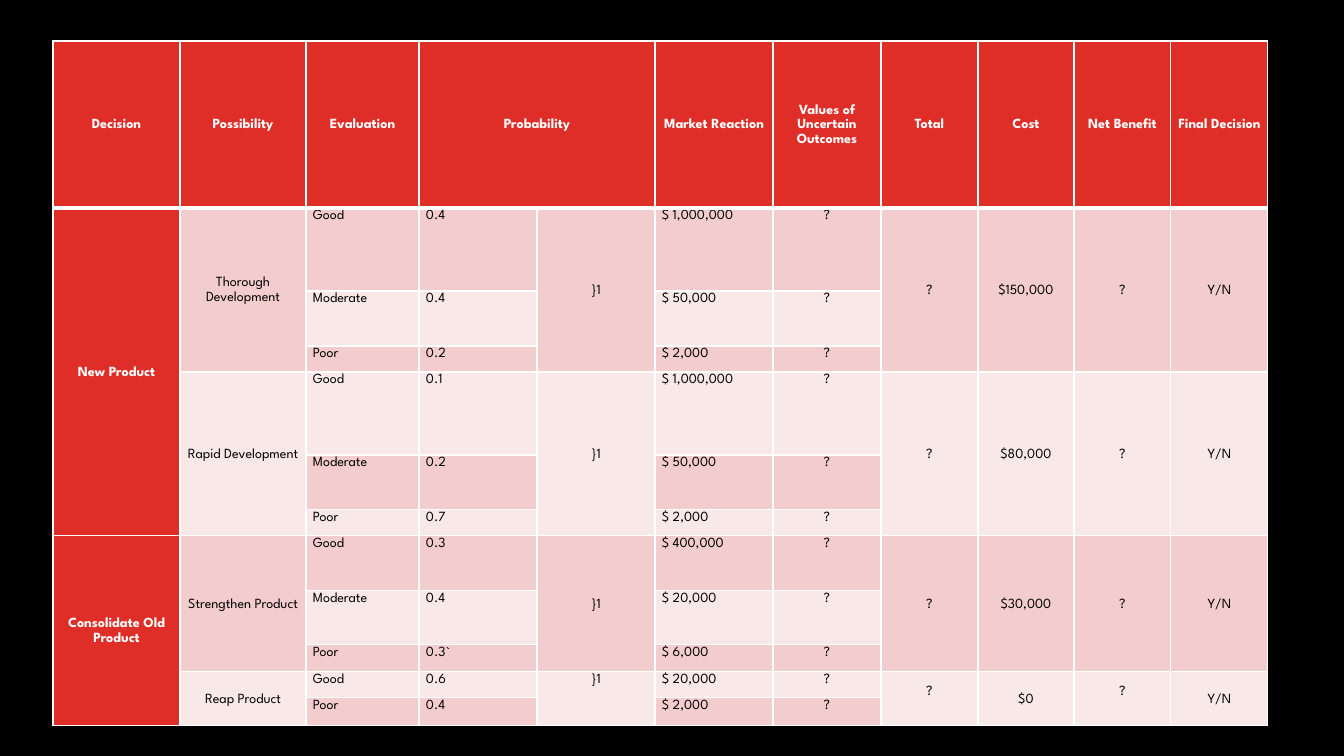
from itertools import accumulate

from lxml import etree
from pptx import Presentation
from pptx.dml.color import RGBColor
from pptx.enum.text import MSO_ANCHOR, PP_ALIGN
from pptx.oxml.ns import qn
from pptx.util import Emu, Pt

TOP, MIDDLE = MSO_ANCHOR.TOP, MSO_ANCHOR.MIDDLE
LEFT, CENTER = PP_ALIGN.LEFT, PP_ALIGN.CENTER

BLACK = RGBColor(0x00, 0x00, 0x00)
WHITE = RGBColor(0xFF, 0xFF, 0xFF)
RED = RGBColor(0xDF, 0x2E, 0x28)
ROSE = RGBColor(0xF3, 0xCD, 0xCD)
PALE_ROSE = RGBColor(0xF9, 0xE8, 0xE8)

EMU_PER_PX = 914400 / 100.8
BLANK_LAYOUT = 6

COLUMN_WIDTHS = [127, 126, 113, 118, 118, 118, 108, 97, 96, 97, 97]
ROW_HEIGHTS = [167, 83, 55, 26, 83, 55, 26, 55, 54, 27, 26, 28]

# Heading -> column
HEADINGS = {
    "Decision": 0, "Possibility": 1, "Evaluation": 2, "Probability": 3,
    "Market Reaction": 5, "Values of Uncertain Outcomes": 6, "Total": 7,
    "Cost": 8, "Net Benefit": 9, "Final Decision": 10,
}

# Decision -> number of rows it covers
DECISIONS = {"New Product": 6, "Consolidate Old Product": 5}

# Possibility, cost, outcomes (evaluation, probability, market reaction)
POSSIBILITIES = [
    ("Thorough Development", "$150,000", [
        ("Good", "0.4", "$ 1,000,000"),
        ("Moderate", "0.4", "$ 50,000"),
        ("Poor", "0.2", "$ 2,000")]),
    ("Rapid Development", "$80,000", [
        ("Good", "0.1", "$ 1,000,000"),
        ("Moderate", "0.2", "$ 50,000"),
        ("Poor", "0.7", "$ 2,000")]),
    ("Strengthen Product", "$30,000", [
        ("Good", "0.3", "$ 400,000"),
        ("Moderate", "0.4", "$ 20,000"),
        ("Poor", "0.3`", "$ 6,000")]),
    ("Reap Product", "$0", [
        ("Good", "0.6", "$ 20,000"),
        ("Poor", "0.4", "$ 2,000")]),
]


def px(length):
    return Emu(round(length * EMU_PER_PX))


class DecisionSlide:
    """Holds the style and the current slide."""

    font_name = "League Spartan"
    font_size = Pt(10)
    line_spacing = 1.15
    side_margin = 7

    def __init__(self, presentation):
        self.slide = presentation.slides.add_slide(
            presentation.slide_layouts[BLANK_LAYOUT])

    def background(self, color):
        fill = self.slide.background.fill
        fill.solid()
        fill.fore_color.rgb = color

    def grid(self, left, top, widths, heights):
        table = self.slide.shapes.add_table(
            len(heights), len(widths), px(left), px(top),
            px(sum(widths)), px(sum(heights))).table
        table.horz_banding = False
        for column, width in zip(table.columns, widths):
            column.width = px(width)
        for row, height in zip(table.rows, heights):
            row.height = px(height)
        return table

    def borders(self, cell, widths):
        properties = cell._tc.get_or_add_tcPr()
        for side, width in widths.items():
            line = etree.SubElement(properties, qn(f"a:ln{side}"), w=str(Pt(width)))
            fill = etree.SubElement(line, qn("a:solidFill"))
            etree.SubElement(fill, qn("a:srgbClr"), val=str(WHITE))

    def paint(self, cell, color):
        cell.fill.solid()
        cell.fill.fore_color.rgb = color
        cell.margin_left = cell.margin_right = px(self.side_margin)
        cell.margin_top = cell.margin_bottom = 0

    def label(self, cell, text, align=CENTER, anchor=MIDDLE, color=BLACK, bold=False):
        cell.vertical_anchor = anchor
        cell.text_frame.text = text
        paragraph = cell.text_frame.paragraphs[0]
        paragraph.alignment = align
        paragraph.line_spacing = self.line_spacing
        font = paragraph.runs[0].font
        font.name, font.size, font.bold = self.font_name, self.font_size, bold
        font.color.rgb = color


def main():
    presentation = Presentation()
    presentation.slide_width, presentation.slide_height = px(1344), px(756)
    page = DecisionSlide(presentation)
    page.background(BLACK)
    table = page.grid(53, 41, COLUMN_WIDTHS, ROW_HEIGHTS)

    # Fills and borders, with a heavier rule below the headings
    for row in range(len(ROW_HEIGHTS)):
        for column in range(len(COLUMN_WIDTHS)):
            sides = {"L": 1, "R": 1, "T": 1, "B": 3 if row == 0 else 1}
            if row == 1:
                del sides["T"]
            page.borders(table.cell(row, column), sides)
            band = ROSE if row % 2 else PALE_ROSE
            page.paint(table.cell(row, column),
                       RED if row == 0 or column == 0 else band)

    # Headings
    table.cell(0, 3).merge(table.cell(0, 4))
    for heading, column in HEADINGS.items():
        page.label(table.cell(0, column), heading, color=WHITE, bold=True)

    # Decisions
    ends = accumulate(DECISIONS.values())
    for (decision, rows), end in zip(DECISIONS.items(), ends):
        cell = table.cell(end - rows + 1, 0)
        cell.merge(table.cell(end, 0))
        page.label(cell, decision, color=WHITE, bold=True)

    # Possibilities and their outcomes
    first = 1
    for possibility, cost, outcomes in POSSIBILITIES:
        last = first + len(outcomes) - 1
        is_reap = possibility == "Reap Product"
        shared = {1: possibility, 4: "}1", 7: "?", 8: cost, 9: "?", 10: "Y/N"}
        for column, text in shared.items():
            cell = table.cell(first, column)
            cell.merge(table.cell(last, column))
            anchor = TOP if is_reap and column == 4 else MIDDLE
            page.label(cell, text, anchor=anchor)
            if is_reap and text == "?":
                cell.margin_bottom = px(15)
        for row, (evaluation, probability, reaction) in enumerate(outcomes, first):
            for column, text in {2: evaluation, 3: probability, 5: reaction}.items():
                page.label(table.cell(row, column), text, align=LEFT, anchor=TOP)
            page.label(table.cell(row, 6), "?", anchor=TOP)
        first = last + 1

    presentation.save("out.pptx")


if __name__ == "__main__":
    main()
